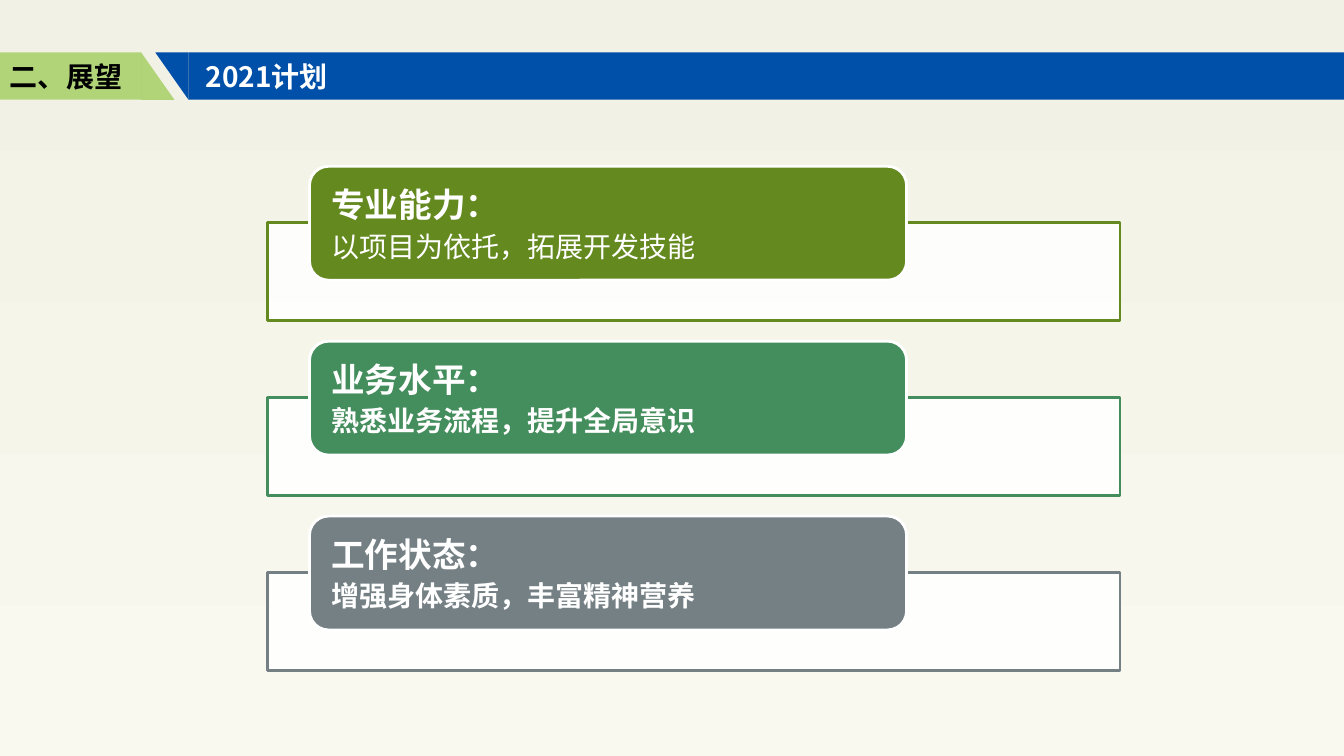
from lxml import etree
from pptx import Presentation
from pptx.dml.color import RGBColor
from pptx.enum.shapes import MSO_SHAPE
from pptx.enum.text import MSO_ANCHOR, MSO_AUTO_SIZE, PP_ALIGN
from pptx.oxml.ns import qn
from pptx.util import Inches, Pt

RECT, ROUND = MSO_SHAPE.RECTANGLE, MSO_SHAPE.ROUNDED_RECTANGLE
TRIANGLE = MSO_SHAPE.RIGHT_TRIANGLE
MIDDLE, LEFT, NO_FIT = MSO_ANCHOR.MIDDLE, PP_ALIGN.LEFT, MSO_AUTO_SIZE.NONE

FONT = "Noto Sans CJK SC"
WHITE = RGBColor(0xFF, 0xFF, 0xFF)
BLACK = RGBColor(0x00, 0x00, 0x00)
BLUE = RGBColor(0x00, 0x4F, 0xA8)
LIME = RGBColor(0x9B, 0xCA, 0x54)
OLIVE = RGBColor(0x63, 0x89, 0x1F)
GREEN = RGBColor(0x44, 0x8D, 0x5C)
GREY = RGBColor(0x75, 0x80, 0x85)
BG_TOP = RGBColor(0xF1, 0xF1, 0xE5)
BG_BOTTOM = RGBColor(0xF9, 0xF9, 0xEF)

PLANS = [
    (OLIVE, "专业能力：", "以项目为依托，拓展开发技能", False),
    (GREEN, "业务水平：", "熟悉业务流程，提升全局意识", True),
    (GREY, "工作状态：", "增强身体素质，丰富精神营养", True),
]


def add_text(p, text, size=20, bold=True, color=WHITE, after=0):
    """Write one formatted run into a paragraph."""
    p.alignment = LEFT
    p.space_before, p.space_after = Pt(0), Pt(after)
    r = p.add_run()
    r.text = text
    r.font.size, r.font.bold, r.font.name = Pt(size), bold, FONT
    r.font.color.rgb = color
    ea = etree.SubElement(r.font._element, qn("a:ea"))
    ea.set("typeface", FONT)


def set_frame(sp, side=0.1, edge=0.05):
    """Set margins, wrapping and anchor, and return the text frame."""
    tf = sp.text_frame
    tf.word_wrap, tf.auto_size, tf.vertical_anchor = True, NO_FIT, MIDDLE
    tf.margin_left = tf.margin_right = Inches(side)
    tf.margin_top = tf.margin_bottom = Inches(edge)
    return tf


def add_box(s, kind, x, y, w, h, fill, line=None, opacity=100):
    """Add a filled preset shape, with an optional outline."""
    sp = s.shapes.add_shape(kind, Inches(x), Inches(y), Inches(w), Inches(h))
    sp.shadow.inherit = False
    sp.fill.solid()
    sp.fill.fore_color.rgb = fill
    if opacity < 100:
        clr = sp.element.spPr.find(qn("a:solidFill"))[0]
        etree.SubElement(clr, qn("a:alpha")).set("val", str(opacity * 1000))
    if line is None:
        sp.line.fill.background()
    else:
        sp.line.color.rgb = line
        sp.line.width = Pt(2)
    return sp


def add_header(s, x, y, w, h, section, heading):
    """Draw the two-colour header band with its section label and title."""
    tab, slant, bar = x + 1.4, 0.33, x + 1.87
    add_box(s, RECT, x, y, tab - x, h, LIME, opacity=74)
    add_box(s, RECT, bar, y, x + w - bar, h, BLUE)
    add_box(s, TRIANGLE, tab, y, slant, h, LIME, opacity=74)
    add_box(s, TRIANGLE, bar - slant, y, slant, h, BLUE).rotation = 180

    title = s.shapes.title
    title.left, title.top = Inches(bar + 0.07), Inches(y)
    title.width, title.height = Inches(10.16), Inches(h)
    title.element.getparent().append(title.element)
    add_text(set_frame(title).paragraphs[0], heading)

    label = s.shapes.add_textbox(Inches(x), Inches(y), Inches(1.78), Inches(h))
    add_text(set_frame(label).paragraphs[0], section, color=BLACK)


def add_plan(s, x, y, w, color, name, detail, bold):
    """Draw one plan: an outlined panel with a rounded card over its top."""
    add_box(s, RECT, x, y + 0.56, w, 0.97, WHITE, color, opacity=90)
    card = add_box(s, ROUND, x + 0.42, y, w * 0.7, 1.13, color, WHITE)
    tf = set_frame(card, side=0.16, edge=0)
    add_text(tf.paragraphs[0], name, size=24, after=3.5)
    add_text(tf.add_paragraph(), detail, bold=bold)


def main():
    """Build the slide and save it."""
    prs = Presentation()
    prs.slide_width, prs.slide_height = Inches(13.33), Inches(7.5)
    s = prs.slides.add_slide(prs.slide_layouts[5])
    bg = s.background.fill
    bg.gradient()
    bg.gradient_angle = 270
    for stop, color in zip(bg.gradient_stops, (BG_TOP, BG_BOTTOM)):
        stop.color.rgb = color

    add_header(s, 0, 0.52, 13.33, 0.47, "二、展望", "2021计划")
    for i, plan in enumerate(PLANS):
        add_plan(s, 2.65, 1.65 + i * 1.735, 8.46, *plan)
    prs.save("out.pptx")


if __name__ == "__main__":
    main()
